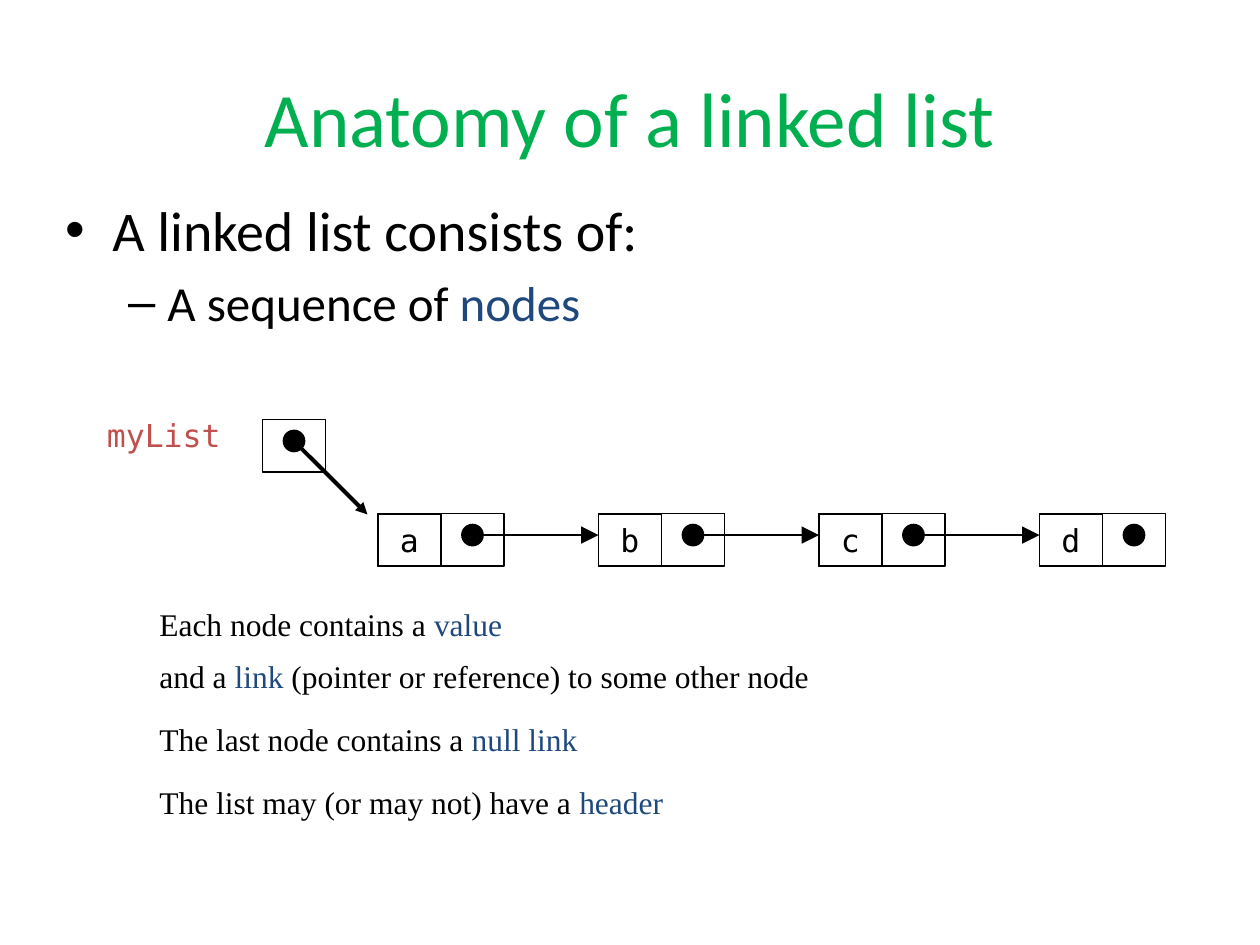
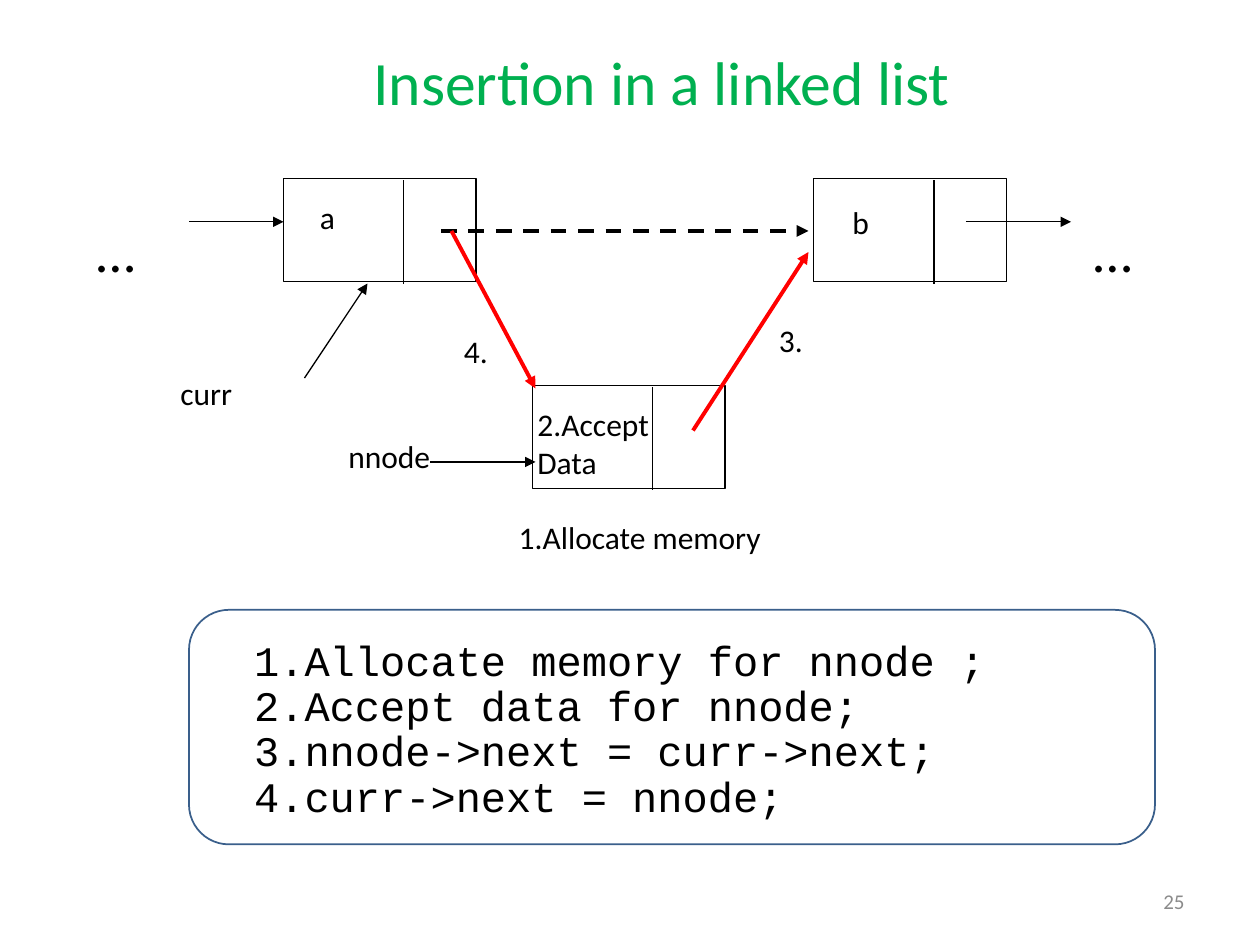
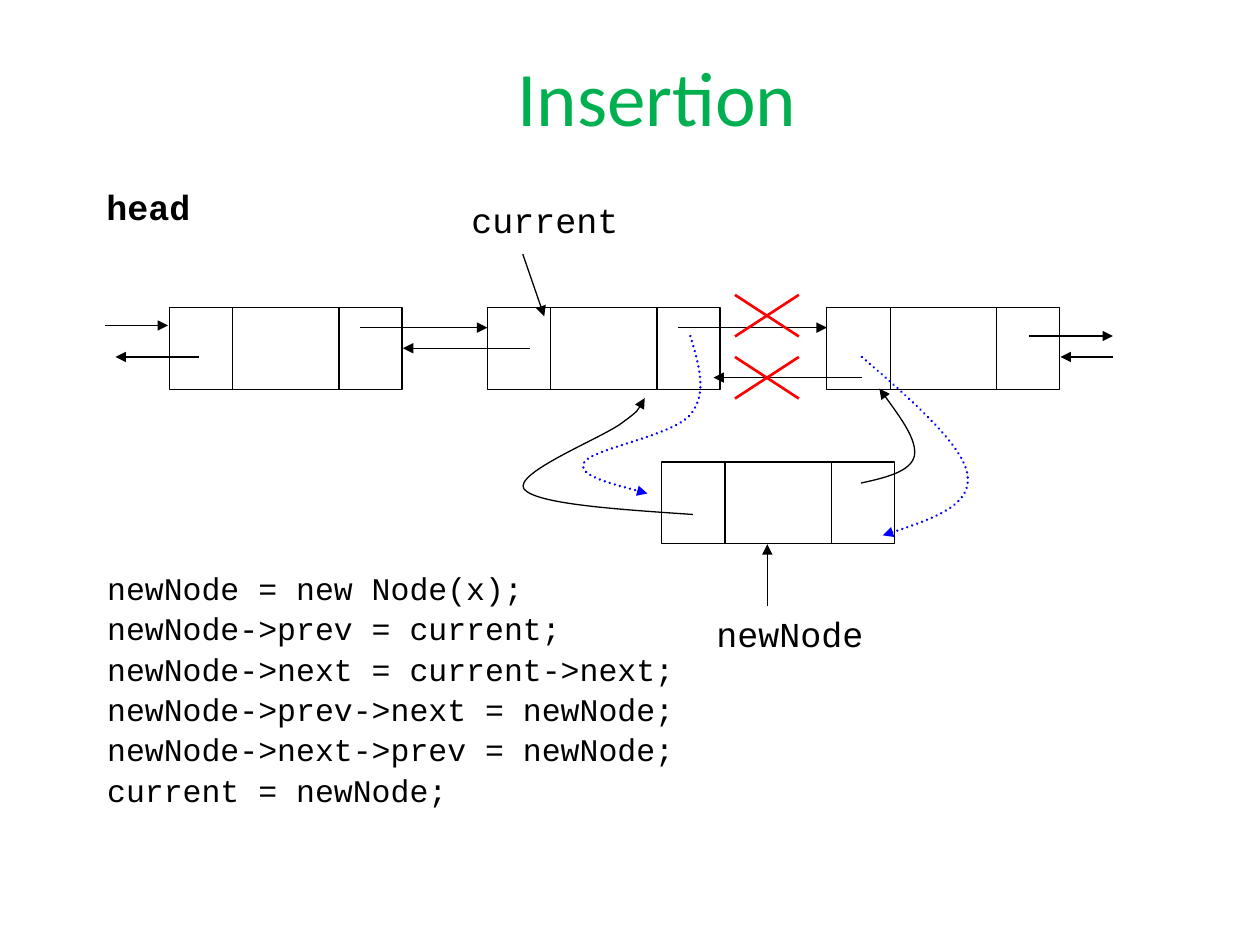
"""Build three slides about linked lists and how nodes are inserted."""
from dataclasses import dataclass
from itertools import cycle

from lxml.etree import SubElement
from pptx import Presentation
from pptx.dml.color import RGBColor
from pptx.enum.dml import MSO_LINE
from pptx.enum.shapes import MSO_CONNECTOR, MSO_SHAPE
from pptx.enum.text import MSO_ANCHOR, MSO_AUTO_SIZE, PP_ALIGN
from pptx.oxml.ns import qn
from pptx.util import Pt


@dataclass(frozen=True)
class Theme:
    title: str = "00B050"
    ink: str = "000000"
    paper: str = "FFFFFF"
    accent: str = "1F497D"
    variable: str = "C0504D"
    change: str = "FF0000"
    relink: str = "0000FF"
    frame: str = "3A5F8B"
    muted: str = "8B8B8B"
    sans: str = "Calibri"
    serif: str = "Times New Roman"
    code: str = "Courier New"
    mono: str = "DejaVu Sans Mono"
    title_size: float = 44
    small_title_size: float = 35.2
    list_sizes: tuple = (32, 28)
    ellipsis_size: float = 32
    code_size: float = 24
    name_size: float = 20
    label_size: float = 18
    number_size: float = 12
    hairline: float = 0.75
    outline: float = 1
    medium: float = 1.5
    heavy: float = 2.25


class Deck:
    def __init__(self, theme):
        self.theme = theme
        self.presentation = Presentation()
        self.presentation.slide_width = Pt(720)
        self.presentation.slide_height = Pt(540)
        self.slide = None

    def start_slide(self, title, left, top, width, height, size):
        layout = self.presentation.slide_layouts[1]
        self.slide = self.presentation.slides.add_slide(layout)
        shape = self.slide.shapes.title
        frame = self.prepare(shape, left, top, width, height)
        frame.vertical_anchor = MSO_ANCHOR.MIDDLE
        paragraph = frame.paragraphs[0]
        paragraph.alignment = PP_ALIGN.CENTER
        self.add_runs(paragraph, title, self.theme.sans, size, self.theme.title)

    def prepare(self, shape, left, top, width, height):
        shape.left, shape.top = Pt(left), Pt(top)
        shape.width, shape.height = Pt(width), Pt(height)
        frame = shape.text_frame
        frame.word_wrap = True
        frame.auto_size = MSO_AUTO_SIZE.NONE
        return frame

    def add_runs(self, paragraph, texts, face, size, color, bold=False):
        """Write the texts as runs that alternate between plain and accent colour."""
        texts = (texts,) if isinstance(texts, str) else texts
        for text, run_color in zip(texts, cycle((color, self.theme.accent))):
            run = paragraph.add_run()
            run.text = text
            run.font.name = face
            run.font.size = Pt(size)
            run.font.bold = bold
            run.font.color.rgb = RGBColor.from_string(run_color)

    def body_paragraphs(self, lines, left, top, width, height):
        frame = self.prepare(self.slide.placeholders[1], left, top, width, height)
        frame.vertical_anchor = MSO_ANCHOR.TOP
        for index, line in enumerate(lines):
            yield index, line, frame.add_paragraph() if index else frame.paragraphs[0]

    def bullets(self, lines, left, top, width, height):
        """Fill the body placeholder with one line for each list level."""
        theme = self.theme
        for level, line, paragraph in self.body_paragraphs(lines, left, top, width, height):
            size = theme.list_sizes[level]
            paragraph.level = level
            paragraph.space_before = Pt(0.2 * size if level else 0)
            self.add_runs(paragraph, line, theme.sans, size, theme.ink)

    def code(self, lines, left, top, width, height, size, gap=0):
        for index, line, paragraph in self.body_paragraphs(lines, left, top, width, height):
            properties = paragraph._p.get_or_add_pPr()
            properties.set("marL", "0")
            properties.set("indent", "0")
            SubElement(properties, qn("a:buNone"))
            paragraph.line_spacing = 0.9
            paragraph.space_before = Pt(gap if index else 0)
            self.add_runs(paragraph, line, self.theme.code, size, self.theme.ink)

    def label(self, texts, left, top, width, height=29, face=None, size=None,
              color=None, bold=False, align=PP_ALIGN.LEFT):
        theme = self.theme
        box = self.slide.shapes.add_textbox(Pt(left), Pt(top), Pt(width), Pt(height))
        paragraph = self.prepare(box, left, top, width, height).paragraphs[0]
        paragraph.alignment = align
        self.add_runs(paragraph, texts, face or theme.sans, size or theme.label_size,
                      color or theme.ink, bold)

    def shape(self, kind, left, top, width, height, fill=None, color=None, weight=None):
        theme = self.theme
        shape = self.slide.shapes.add_shape(kind, Pt(left), Pt(top), Pt(width), Pt(height))
        self.style(shape, color or theme.ink, weight or theme.outline, fill)
        return shape

    def style(self, shape, color, weight, fill=None):
        shape.shadow.inherit = False
        if fill:
            shape.fill.solid()
            shape.fill.fore_color.rgb = RGBColor.from_string(fill)
        else:
            shape.fill.background()
        self.stroke(shape, color, weight)

    def stroke(self, shape, color, weight, dash=None, head=None):
        """Set the line of a shape, with an arrowhead of the given size if any."""
        shape.line.color.rgb = RGBColor.from_string(color)
        shape.line.width = Pt(weight)
        outline = shape.element.spPr.get_or_add_ln()
        if dash:
            shape.line.dash_style = dash
        if dash == MSO_LINE.ROUND_DOT:
            outline.set("cap", "rnd")
        if head:
            SubElement(outline, qn("a:tailEnd"), type="triangle", w=head, len=head)

    def line(self, start, end, color=None, weight=None, dash=None, head=None):
        theme = self.theme
        ends = [Pt(value) for value in (*start, *end)]
        connector = self.slide.shapes.add_connector(MSO_CONNECTOR.STRAIGHT, *ends)
        self.stroke(connector, color or theme.ink, weight or theme.hairline, dash, head)
        SubElement(connector.element.spPr, qn("a:effectLst"))

    def arrow(self, start, end, color=None, weight=None, dash=None, head="med"):
        self.line(start, end, color, weight, dash, head)

    def curve(self, points, color, weight, dash=None):
        """Draw an arrow along cubic curves, each sharing its start with the last end."""
        vertices = [(Pt(x), Pt(y)) for x, y in points]
        builder = self.slide.shapes.build_freeform(*vertices[0])
        builder.add_line_segments(vertices[1:], close=False)
        shape = builder.convert_to_shape()
        segments = list(shape.element.spPr.iter(qn("a:lnTo")))
        for first in range(0, len(segments), 3):
            cubic = SubElement(segments[0].getparent() if first == 0 else track,
                               qn("a:cubicBezTo"))
            track = cubic.getparent()
            for segment in segments[first:first + 3]:
                cubic.append(segment[0])
                track.remove(segment)
        self.style(shape, color, weight)
        self.stroke(shape, color, weight, dash, head="med")

    def dot(self, x, y, radius=6):
        self.shape(MSO_SHAPE.OVAL, x - radius, y - radius, 2 * radius, 2 * radius,
                   fill=self.theme.ink)

    def value_cell(self, text, left, top, width, height):
        shape = self.shape(MSO_SHAPE.RECTANGLE, left, top, width, height)
        frame = shape.text_frame
        frame.word_wrap = False
        frame.vertical_anchor = MSO_ANCHOR.MIDDLE
        paragraph = frame.paragraphs[0]
        paragraph.alignment = PP_ALIGN.CENTER
        self.add_runs(paragraph, text, self.theme.mono, self.theme.label_size, self.theme.ink)

    def node(self, left, top, width, height, dividers, drop=0):
        """Draw a node with dividers, each lowered by the given drop."""
        theme = self.theme
        self.shape(MSO_SHAPE.RECTANGLE, left, top, width, height, theme.paper,
                   weight=theme.hairline)
        for offset in dividers:
            x = left + offset
            self.line((x, top + drop), (x, top + height + drop))

    def cross(self, left, top, width, height):
        right, bottom = left + width, top + height
        for start, end in (((right, top), (left, bottom)), ((left, top), (right, bottom))):
            self.line(start, end, self.theme.change, self.theme.medium)


def build_anatomy(deck):
    theme = deck.theme
    deck.start_slide("Anatomy of a linked list", 36, 21.6, 648, 90, theme.title_size)
    deck.bullets(["A linked list consists of:", ("A sequence of ", "nodes")],
                 30, 108, 675, 117)

    cell_width, cell_height, pitch = 36, 30, 126
    node_top, link_y = 293.75, 305.75
    values = "abcd"
    for index, value in enumerate(values):
        left = 216 + index * pitch
        link_x = left + 1.5 * cell_width
        for cell_left in (left, left + cell_width):
            deck.shape(MSO_SHAPE.RECTANGLE, cell_left, node_top - 0.25,
                       cell_width, cell_height)
        deck.value_cell(value, left, node_top, cell_width, cell_height)
        deck.dot(link_x, link_y)
        if index < len(values) - 1:
            deck.arrow((link_x, link_y), (left + pitch, link_y),
                       weight=theme.outline, head="lg")

    deck.dot(168, 252)
    deck.shape(MSO_SHAPE.RECTANGLE, 150, 239.75, cell_width, cell_height)
    deck.arrow((168, 252), (210, 294), weight=theme.heavy)
    deck.label("myList", 54, 234, 102, face=theme.mono, color=theme.variable)

    notes = (
        (342, ("Each node contains a ", "value")),
        (372, ("and a ", "link", " (pointer or reference) to some other node")),
        (408, ("The last node contains a ", "null link")),
        (444, ("The list may (or may not) have a ", "header")),
    )
    for top, texts in notes:
        deck.label(texts, 84, top, 552, face=theme.serif)


def build_single_insertion(deck):
    theme = deck.theme
    deck.start_slide("Insertion in a linked list", 138, 21.25, 480, 49.5,
                     theme.small_title_size)
    deck.label("25", 516, 504, 168, size=theme.number_size, color=theme.muted,
               align=PP_ALIGN.RIGHT)

    for left, top in ((162, 102), (465, 102), (304.25, 220.25)):
        deck.node(left, top, 110, 59, dividers=(68.75,), drop=1)

    deck.arrow((252, 132), (462, 132), weight=theme.heavy, dash=MSO_LINE.DASH)
    for start, end in (((108, 126.75), (162, 126.75)), ((552, 126.75), (612, 126.75)),
                       ((174, 216), (210, 162)), ((246, 264), (306, 264))):
        deck.arrow(start, end)
    for start, end in (((258, 132), (306, 222)), ((396, 246), (462, 144))):
        deck.arrow(start, end, theme.change, theme.heavy)

    labels = (
        ("a", 175.75, 109.75, 55), ("b", 480, 112.25, 55),
        ("curr", 96, 210, 108), ("nnode", 192, 246, 114),
        ("1.Allocate memory", 289.25, 292.5, 168),
        ("3.", 438, 180, 42), ("4.", 258, 186, 42),
    )
    for text, left, top, width in labels:
        deck.label(text, left, top, width)
    deck.label("2.Accept Data", 300, 228, 90, 50)
    for left in (48, 617.75):
        deck.label("…", left, 120, 60, 45, size=theme.ellipsis_size)

    deck.code(["1.Allocate memory for nnode ;", "2.Accept data for nnode;",
               "3.nnode->next = curr->next;", "4.curr->next = nnode;"],
              138, 362, 462, 137, theme.code_size)
    panel = deck.shape(MSO_SHAPE.ROUNDED_RECTANGLE, 108, 348.5, 552, 134, color=theme.frame)
    panel.adjustments[0] = 0.17


def build_double_insertion(deck):
    theme = deck.theme
    deck.start_slide("Insertion", 227.5, 22.75, 296, 64, theme.title_size)
    deck.code(["newNode = new Node(x);", "newNode->prev = current;",
               "newNode->next = current->next;", "newNode->prev->next = newNode;",
               "newNode->next->prev = newNode;", "current = newNode;"],
              54, 324, 612, 156, theme.label_size, gap=3.6)

    for left, top in ((96.75, 175.75), (278.5, 175.75), (472.5, 175.75), (378, 264)):
        deck.node(left, top, 133, 46.8, dividers=(36.25, 97))

    arrows = (
        ((206, 187.25), (278.5, 187.25)), ((302.75, 199), (230.25, 199)),
        ((387.5, 187.25), (472.5, 187.25)), ((492.5, 215.75), (407.75, 215.75)),
        ((298.75, 145.25), (311, 180.75)), ((438.5, 346.5), (438.5, 311)),
        ((588, 192), (636, 192)), ((60, 186), (96, 186)),
        ((636, 204), (606, 204)), ((114, 204), (66, 204)),
    )
    for start, end in arrows:
        deck.arrow(start, end)
    for top in (168.5, 204):
        deck.cross(420, top, 36.5, 23.75)

    old_links = (
        ((394.5, 192), (399.5, 208.5), (404.5, 225), (394.5, 237), (384.5, 249),
         (338.5, 256.5), (334, 264), (329.5, 271.5), (350, 276.5), (370, 282)),
        ((492.5, 204), (522, 229.5), (551, 255), (553, 272), (555, 289),
         (530, 297.5), (504.5, 306)),
    )
    for points in old_links:
        deck.curve(points, theme.relink, theme.medium, MSO_LINE.ROUND_DOT)
    new_links = (
        ((396, 294), (351.5, 291), (306.5, 288), (299.5, 279.5), (293, 270.5),
         (343.5, 250.5), (355, 242), (366, 234), (367, 230.5), (368.5, 227.5)),
        ((492, 276), (506, 273), (520.5, 269.5), (522.5, 260.5), (524, 251.5),
         (513.5, 237), (502.5, 222)),
    )
    for points in new_links:
        deck.curve(points, theme.ink, theme.hairline)

    for text, left, top, width, bold in (("head", 53.75, 102.5, 85, True),
                                         ("current", 262.25, 110, 145, False),
                                         ("newNode", 402.25, 346.5, 180, False)):
        deck.label(text, left, top, width, 35, theme.code, theme.name_size, bold=bold)


def main():
    deck = Deck(Theme())
    build_anatomy(deck)
    build_single_insertion(deck)
    build_double_insertion(deck)
    deck.presentation.save("out.pptx")


if __name__ == "__main__":
    main()
